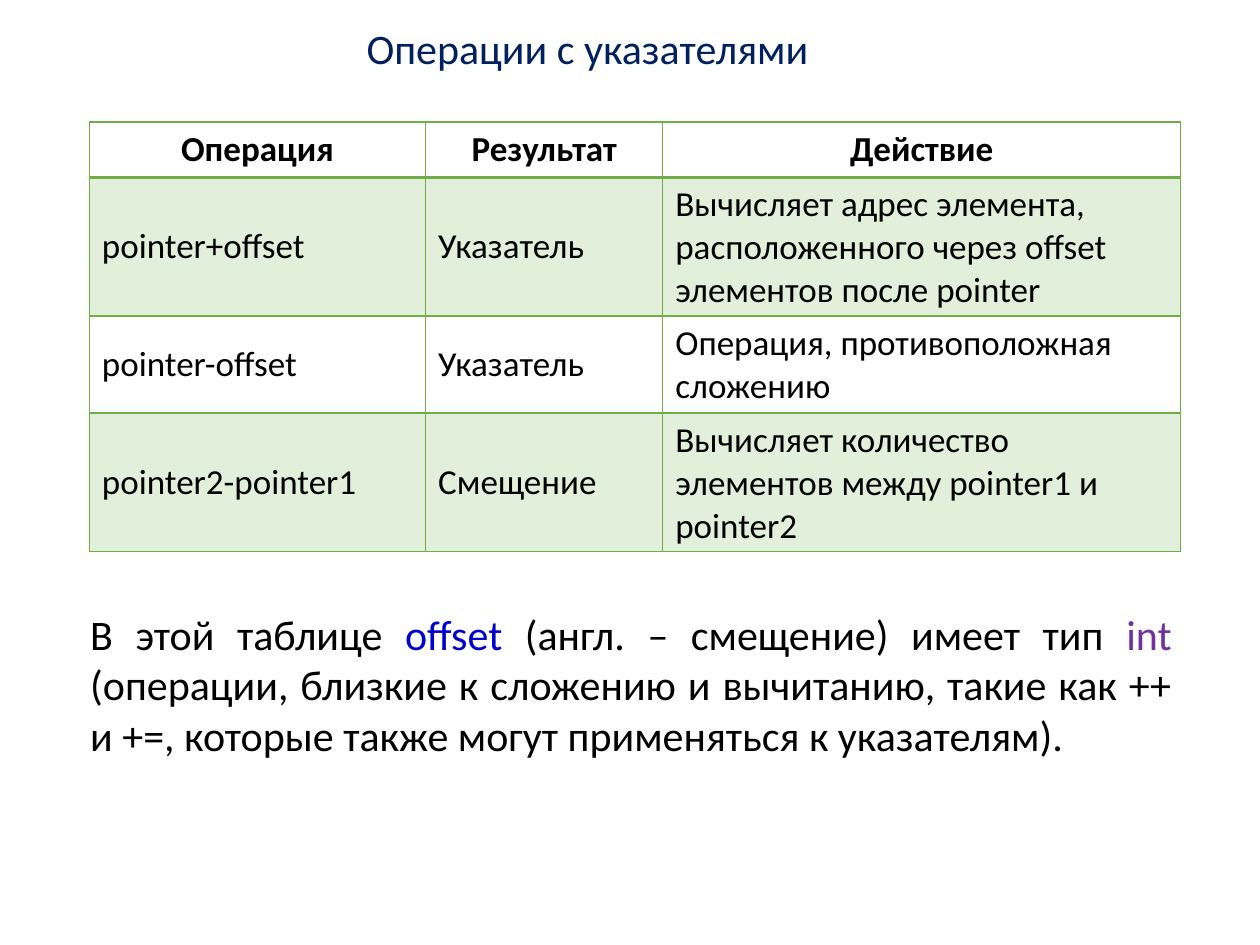
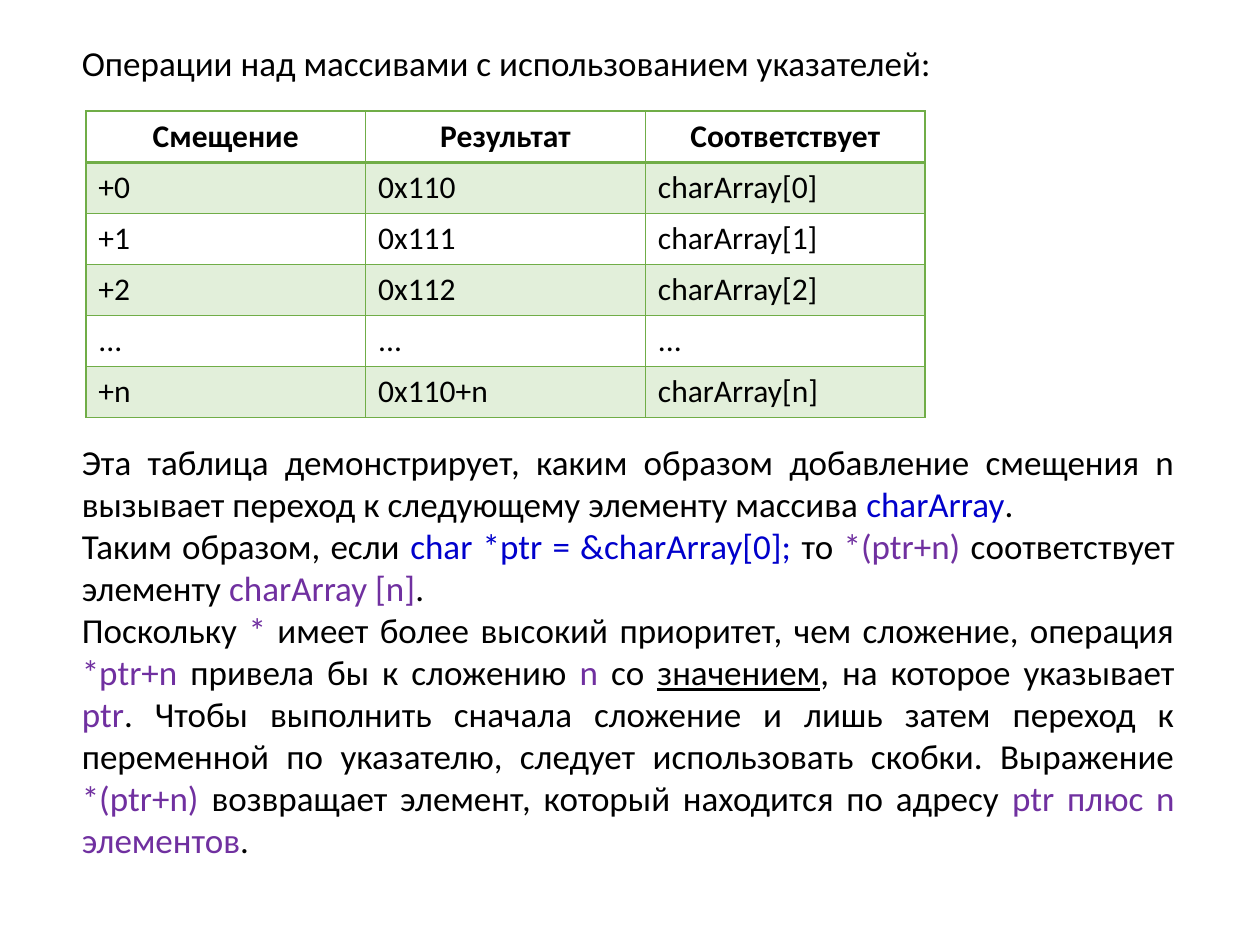
import pptx
import pptx.dml.color
import pptx.enum.text
import pptx.oxml.ns
import pptx.util
from lxml import etree

Cm = pptx.util.Cm
ALIGN = pptx.enum.text.PP_ALIGN

FONT = "Calibri"
BLACK, NAVY, BLUE, PURPLE = "000000", "002060", "0000CC", "7030A0"
GREEN, BAND = "70AD47", "E2EFDA"

POINTER_TITLE = [[("Операции с указателями", NAVY)]]
POINTER_ROWS = [
    ("Операция", "Результат", "Действие"),
    ("pointer+offset", "Указатель",
     "Вычисляет адрес элемента, расположенного через offset элементов после pointer"),
    ("pointer-offset", "Указатель", "Операция, противоположная сложению"),
    ("pointer2-pointer1", "Смещение",
     "Вычисляет количество элементов между pointer1 и pointer2"),
]
POINTER_NOTE = [[
    ("В этой таблице ", BLACK),
    ("offset ", BLUE),
    ("(англ. – смещение) имеет тип ", BLACK),
    ("int", PURPLE),
    (" (операции, близкие к сложению и вычитанию, такие как ++ и +=, "
     "которые также могут применяться к указателям).", BLACK),
]]

ARRAY_TITLE = [[("Операции над массивами с использованием указателей:", BLACK)]]
ARRAY_ROWS = [
    ("Смещение", "Результат", "Соответствует"),
    ("+0", "0x110", "charArray[0]"),
    ("+1", "0x111", "charArray[1]"),
    ("+2", "0x112", "charArray[2]"),
    ("...", "...", "..."),
    ("+n", "0x110+n", "charArray[n]"),
]
UNDERLINED = "значением"
ARRAY_NOTE = [
    [
        ("Эта таблица демонстрирует, каким образом добавление смещения n "
         "вызывает переход к следующему элементу массива ", BLACK),
        ("charArray", BLUE),
        (".", BLACK),
    ],
    [
        ("Таким образом, если ", BLACK),
        ("char *ptr = &charArray[0]; ", BLUE),
        ("то ", BLACK),
        ("*(ptr+n) ", PURPLE),
        ("соответствует элементу ", BLACK),
        ("charArray [n]", PURPLE),
        (".", BLACK),
    ],
    [
        ("Поскольку ", BLACK),
        ("*", PURPLE),
        (" имеет более высокий приоритет, чем сложение, операция ", BLACK),
        ("*ptr+n ", PURPLE),
        ("привела бы к сложению ", BLACK),
        ("n ", PURPLE),
        ("со ", BLACK),
        (UNDERLINED, BLACK),
        (", на которое указывает ", BLACK),
        ("ptr", PURPLE),
        (". Чтобы выполнить сначала сложение и лишь затем переход к переменной "
         "по указателю, следует использовать скобки. Выражение ", BLACK),
        ("*(ptr+n) ", PURPLE),
        ("возвращает элемент, который находится по адресу ", BLACK),
        ("ptr плюс n элементов", PURPLE),
        (".", BLACK),
    ],
]


def color(value):
    return pptx.dml.color.RGBColor.from_string(value)


def format_font(font, size, value, bold=False):
    font.name = FONT
    font.size = pptx.util.Pt(size)
    font.bold = bold
    font.color.rgb = color(value)


def add_text(slide, box, paragraphs, size, align=ALIGN.LEFT, wrap=True):
    shape = slide.shapes.add_textbox(*map(Cm, box))
    frame = shape.text_frame
    frame.word_wrap = wrap
    frame.auto_size = pptx.enum.text.MSO_AUTO_SIZE.SHAPE_TO_FIT_TEXT
    for index, parts in enumerate(paragraphs):
        paragraph = frame.add_paragraph() if index else frame.paragraphs[0]
        paragraph.alignment = align
        for text, value in parts:
            run = paragraph.add_run()
            run.text = text
            format_font(run.font, size, value)
            if text == UNDERLINED:
                run.font.underline = True


def add_border(cell, side, points):
    tag = pptx.oxml.ns.qn
    properties = cell._tc.get_or_add_tcPr()
    line = etree.SubElement(properties, tag("a:ln" + side), w=str(pptx.util.Pt(points)))
    fill = etree.SubElement(line, tag("a:solidFill"))
    etree.SubElement(fill, tag("a:srgbClr"), val=GREEN)


def add_table(slide, left, top, widths, heights, rows, size, header_anchor):
    middle = pptx.enum.text.MSO_ANCHOR.MIDDLE
    frame = slide.shapes.add_table(len(rows), len(widths), Cm(left), Cm(top),
                                   Cm(sum(widths)), Cm(sum(heights)))
    table = frame.table
    table.first_row = table.horz_banding = False
    for column, width in zip(table.columns, widths):
        column.width = Cm(width)
    for row_index, (row, height, texts) in enumerate(zip(table.rows, heights, rows)):
        row.height = Cm(height)
        header = row_index == 0
        for cell, text in zip(row.cells, texts):
            cell.text_frame.text = text
            cell.vertical_anchor = header_anchor if header else middle
            paragraph = cell.text_frame.paragraphs[0]
            paragraph.alignment = ALIGN.CENTER if header else ALIGN.LEFT
            format_font(paragraph.runs[0].font, size, BLACK, header)
            for side in "LRTB":
                below_header = (row_index, side) in ((0, "B"), (1, "T"))
                add_border(cell, side, 2 if below_header else 1)
            if row_index % 2:
                cell.fill.solid()
                cell.fill.fore_color.rgb = color(BAND)
            else:
                cell.fill.background()


def main():
    presentation = pptx.Presentation()
    presentation.slide_width = Cm(25.4)
    presentation.slide_height = Cm(19.05)
    blank = presentation.slide_layouts[6]
    anchor = pptx.enum.text.MSO_ANCHOR

    slide = presentation.slides.add_slide(blank)
    add_text(slide, (7.14, 0.33, 9.5, 1.27), POINTER_TITLE, 24, wrap=False)
    add_table(slide, 1.8, 2.46, (6.78, 4.78, 10.44), (1.11, 2.78, 1.96, 2.78),
              POINTER_ROWS, 20, anchor.TOP)
    add_text(slide, (1.57, 12.14, 22.3, 3.33), POINTER_NOTE, 24, ALIGN.JUSTIFY)

    slide = presentation.slides.add_slide(blank)
    add_text(slide, (1.4, 0.71, 22.53, 1.12), ARRAY_TITLE, 20)
    add_table(slide, 1.73, 2.24, [5.64] * 3, [1.03] * len(ARRAY_ROWS),
              ARRAY_ROWS, 18, anchor.MIDDLE)
    add_text(slide, (1.4, 8.76, 22.53, 8.81), ARRAY_NOTE, 20, ALIGN.JUSTIFY)

    presentation.save("out.pptx")


if __name__ == "__main__":
    main()
